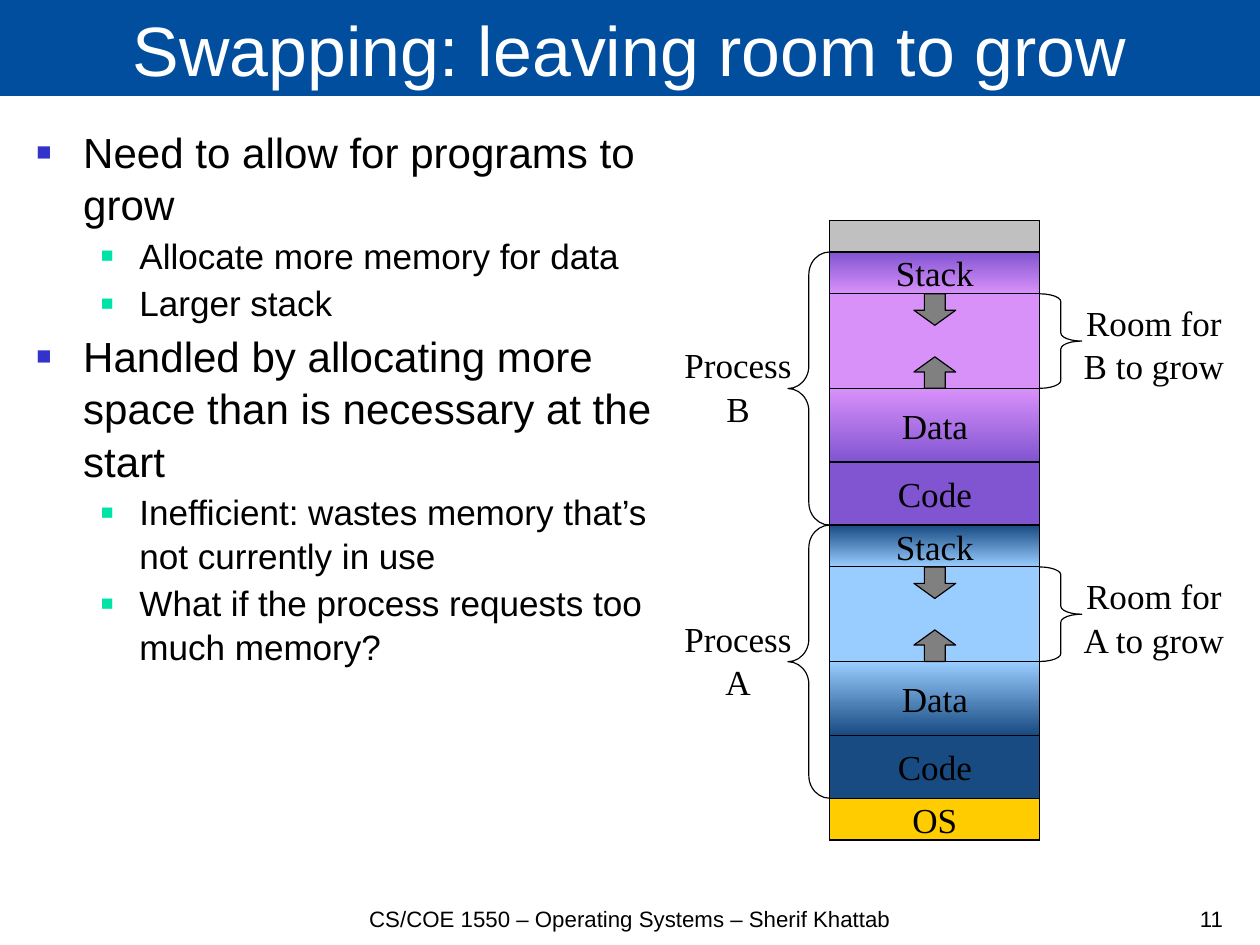
"""Build the slide on leaving memory room for swapped processes to grow."""
from lxml.etree import SubElement
from pptx import Presentation
from pptx.dml.color import RGBColor
from pptx.enum.shapes import MSO_SHAPE
from pptx.enum.text import MSO_ANCHOR, MSO_AUTO_SIZE, PP_ALIGN
from pptx.oxml.ns import qn
from pptx.util import Cm, Pt

TITLE = "Swapping: leaving room to grow"
BULLETS = [
    (0, "Need to allow for programs to grow"),
    (1, "Allocate more memory for data"),
    (1, "Larger stack"),
    (0, "Handled by allocating more space than is necessary at the start"),
    (1, "Inefficient: wastes memory that’s not currently in use"),
    (1, "What if the process requests too much memory?"),
]
FOOTERS = [
    ("CS/COE 1550 – Operating Systems – Sherif Khattab", 5.72, 16.56, PP_ALIGN.CENTER),
    ("11", 26.26, 1.17, PP_ALIGN.RIGHT),
]
PROCESSES = [
    ("A", "dark blue", "light blue"),
    ("B", "dark purple", "light purple"),
]
COLORS = {
    "banner": "004E9D", "white": "FFFFFF", "black": "000000",
    "free": "C0C0C0", "os": "FFCC00", "arrow": "808080",
    "dark blue": "184B81", "light blue": "99CCFF",
    "dark purple": "8154D1", "light purple": "D991FA",
}
LEVELS = [
    {"size": 26.5, "left": 1.04, "hanging": 1.04, "bullet": "3333CC"},
    {"size": 22.1, "left": 2.29, "hanging": 0.86, "bullet": "00E3A8"},
]
LINE_SPACING = 1.04
LABEL_SIZE = 22.1

MEMORY_LEFT, MEMORY_WIDTH = 18.44, 4.67
MEMORY_TOP, MEMORY_HEIGHT = 4.9, 13.77
MEMORY_RIGHT = MEMORY_LEFT + MEMORY_WIDTH
STACK, ROOM, DATA, CODE = 0.93, 2.1, 1.64, 1.4
PROCESS_HEIGHT = STACK + ROOM + DATA + CODE
OS_HEIGHT = 0.93
OS_TOP = MEMORY_TOP + MEMORY_HEIGHT - OS_HEIGHT
BRACE_WIDTH = 0.93
ARROW_WIDTH, ARROW_HEIGHT = 0.93, 0.7
LABEL_HEIGHT = 2.13


def color(name):
    return RGBColor.from_string(COLORS[name])


def write(para, text, size, font, ink="black", align=PP_ALIGN.CENTER):
    para.alignment = align
    span = para.add_run()
    span.text = text
    span.font.size = Pt(size)
    span.font.name = font
    span.font.color.rgb = color(ink)


def add_outline(page, kind, left, top, width, height, fills=(), adjust=()):
    shape = page.shapes.add_shape(kind, Cm(left), Cm(top), Cm(width), Cm(height))
    shape.shadow.inherit = False
    shape.line.color.rgb = color("black")
    shape.line.width = Pt(0.75)
    if len(fills) == 2:
        shape.fill.gradient()
        shape.fill.gradient_angle = 270
        for stop, name, position in zip(shape.fill.gradient_stops, fills, (0, 1)):
            stop.color.rgb = color(name)
            stop.position = position
    elif fills:
        shape.fill.solid()
        shape.fill.fore_color.rgb = color(fills[0])
    else:
        shape.fill.background()
    for index, value in enumerate(adjust):
        shape.adjustments[index] = value
    return shape


def add_segment(page, top, height, fills, label=""):
    segment = add_outline(page, MSO_SHAPE.RECTANGLE, MEMORY_LEFT, top,
                          MEMORY_WIDTH, height, fills)
    if label:
        frame = segment.text_frame
        frame.word_wrap = False
        frame.vertical_anchor = MSO_ANCHOR.MIDDLE
        write(frame.paragraphs[0], label, LABEL_SIZE, "Times New Roman")


def add_frame(page, left, top, width, height, wrap=True):
    box = page.shapes.add_textbox(Cm(left), Cm(top), Cm(width), Cm(height))
    box.text_frame.word_wrap = wrap
    return box.text_frame


def add_label(page, left, top, width, lines):
    frame = add_frame(page, left, top, width, LABEL_HEIGHT, wrap=False)
    for index, line in enumerate(lines):
        para = frame.add_paragraph() if index else frame.paragraphs[0]
        para.line_spacing = LINE_SPACING
        write(para, line, LABEL_SIZE, "Times New Roman")


def add_process(page, top, name, dark, light):
    room_top = top + STACK
    data_top = room_top + ROOM
    code_top = data_top + DATA
    add_segment(page, top, PROCESS_HEIGHT, [light])
    add_segment(page, code_top, CODE, [dark], "Code")
    add_segment(page, data_top, DATA, [light, dark], "Data")
    add_segment(page, top, STACK, [dark, light], "Stack")

    arrow_left = MEMORY_LEFT + (MEMORY_WIDTH - ARROW_WIDTH) / 2
    for kind, arrow_top in ((MSO_SHAPE.UP_ARROW, data_top - ARROW_HEIGHT),
                            (MSO_SHAPE.DOWN_ARROW, room_top)):
        add_outline(page, kind, arrow_left, arrow_top, ARROW_WIDTH, ARROW_HEIGHT,
                    ["arrow"], (0.5, 0.48))

    add_outline(page, MSO_SHAPE.LEFT_BRACE, MEMORY_LEFT - BRACE_WIDTH, top,
                BRACE_WIDTH, PROCESS_HEIGHT, adjust=(0.54, 0.5))
    add_outline(page, MSO_SHAPE.RIGHT_BRACE, MEMORY_RIGHT, room_top,
                BRACE_WIDTH, ROOM, adjust=(0.19, 0.5))
    add_label(page, 14.94, top + 1.88, 2.92, ["Process", name])
    add_label(page, 23.81, room_top, 3.66, ["Room for", f"{name} to grow"])


def add_bullets(page):
    frame = add_frame(page, 0.56, 2.64, 14.38, 17.07)
    for index, (level, text) in enumerate(BULLETS):
        style = LEVELS[level]
        para = frame.add_paragraph() if index else frame.paragraphs[0]
        para.level = level
        para.line_spacing = LINE_SPACING
        if index:
            para.space_before = Pt(style["size"] / 10)
        props = para._p.get_or_add_pPr()
        props.set("marL", str(Cm(style["left"])))
        props.set("indent", str(-Cm(style["hanging"])))
        tint = SubElement(props, qn("a:buClr"))
        SubElement(tint, qn("a:srgbClr"), val=style["bullet"])
        SubElement(props, qn("a:buSzPct"), val="60000")
        SubElement(props, qn("a:buFont"), typeface="Arial")
        SubElement(props, qn("a:buChar"), char="■")
        write(para, text, style["size"], "Arial", align=PP_ALIGN.LEFT)


def add_title(page):
    title = page.shapes.title
    title.left, title.top, title.width, title.height = Cm(0), Cm(0), Cm(28), Cm(2.13)
    title.fill.solid()
    title.fill.fore_color.rgb = color("banner")
    frame = title.text_frame
    frame.auto_size = MSO_AUTO_SIZE.NONE
    frame.vertical_anchor = MSO_ANCHOR.BOTTOM
    write(frame.paragraphs[0], TITLE, 44, "Arial", "white")


def main():
    deck = Presentation()
    deck.slide_width, deck.slide_height = Cm(28), Cm(21)
    page = deck.slides.add_slide(deck.slide_layouts[5])
    add_title(page)
    add_bullets(page)
    for text, left, width, align in FOOTERS:
        frame = add_frame(page, left, 20.07, width, 0.76)
        frame.vertical_anchor = MSO_ANCHOR.BOTTOM
        write(frame.paragraphs[0], text, 14, "Arial", align=align)
    add_segment(page, MEMORY_TOP, MEMORY_HEIGHT, ["free"])
    add_segment(page, OS_TOP, OS_HEIGHT, ["os"], "OS")
    for index, process in enumerate(PROCESSES, 1):
        add_process(page, OS_TOP - index * PROCESS_HEIGHT, *process)
    deck.save("out.pptx")


if __name__ == "__main__":
    main()
